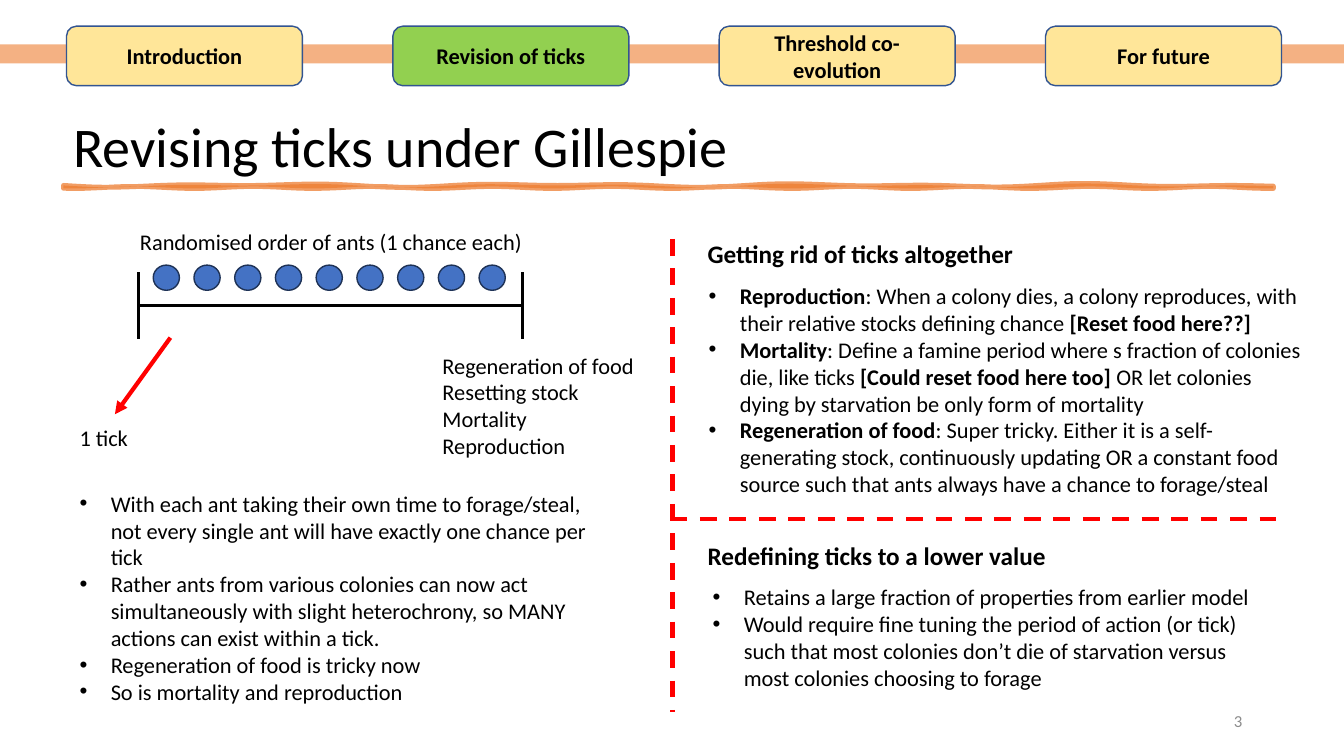
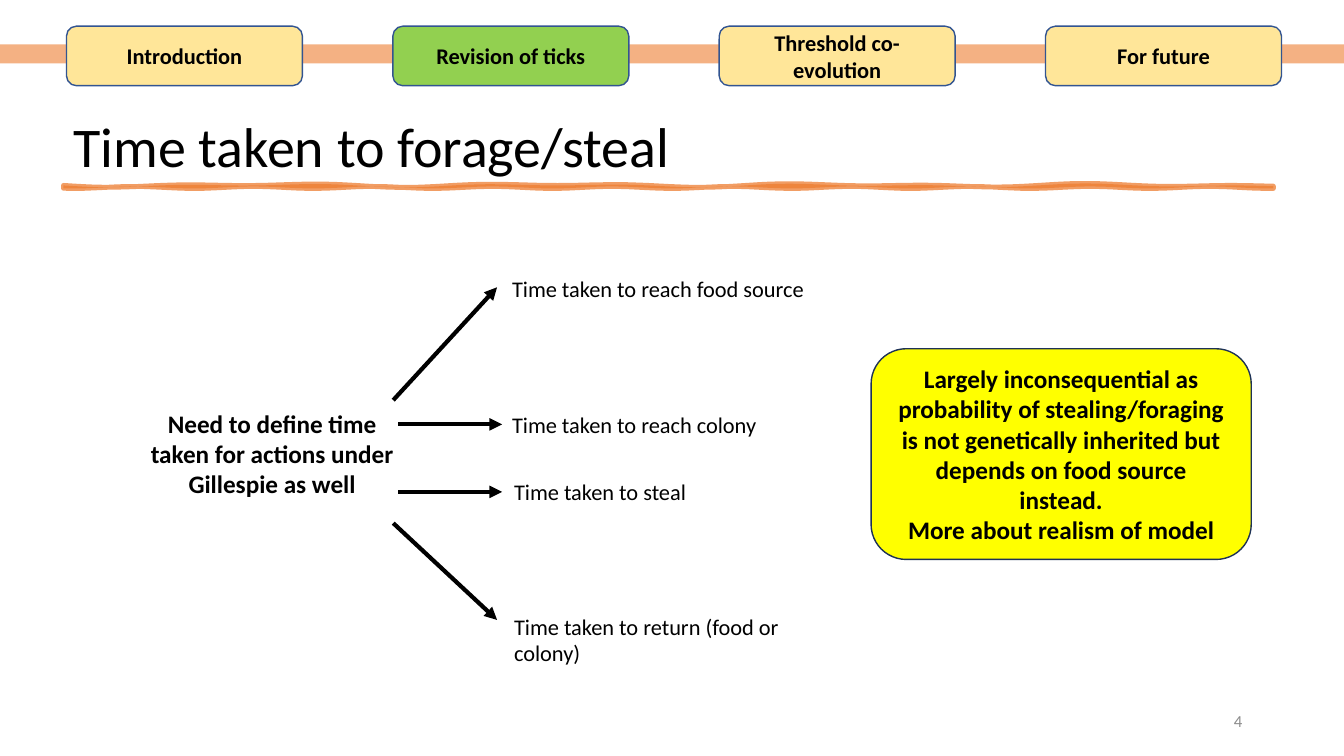
import math

import pptx
import pptx.dml.color
import pptx.enum.dml
import pptx.enum.shapes
import pptx.enum.text
import pptx.oxml.ns
import pptx.util
from lxml import etree

COLOURS = {
    "text": "000000", "page_number": "8C8C8C", "underline": "ED7D31", "band": "F4B183",
    "tab": "FFE699", "active_tab": "92D050", "tab_edge": "325491", "ant": "4472C4",
    "edge": "1E3256", "red": "FF0000", "note": "FFFF00",
}
FONT = "Calibri"
SECTIONS = ["Introduction", "Revision of ticks", "Threshold co-evolution", "For future"]
TICK_PROBLEMS = [
    "With each ant taking their own time to forage/steal, not every single ant will have "
    "exactly one chance per tick",
    "Rather ants from various colonies can now act simultaneously with slight heterochrony, "
    "so MANY actions can exist within a tick.",
    "Regeneration of food is tricky now",
    "So is mortality and reproduction",
]
NO_TICKS = [
    "**Reproduction**: When a colony dies, a colony reproduces, with their relative stocks "
    "defining chance **[Reset food here??]**",
    "**Mortality**: Define a famine period where s fraction of colonies die, like ticks "
    "**[Could reset food here too] **OR let colonies dying by starvation be only form of mortality",
    "**Regeneration of food**: Super tricky. Either it is a self-generating stock, continuously "
    "updating OR a constant food source such that ants always have a chance to forage/steal",
]
LOWER_TICKS = [
    "Retains a large fraction of properties from earlier model",
    "Would require fine tuning the period of action (or tick) such that most colonies don’t die "
    "of starvation versus most colonies choosing to forage",
]
ALIGN = pptx.enum.text.PP_ALIGN
ANCHOR = pptx.enum.text.MSO_ANCHOR
SHAPES = pptx.enum.shapes.MSO_SHAPE
Inches = pptx.util.Inches


def rgb(name):
    """Return the named colour."""
    return pptx.dml.color.RGBColor.from_string(COLOURS[name])


def add_child(parent, tag, **attributes):
    """Append a DrawingML element to a parent element."""
    return etree.SubElement(parent, pptx.oxml.ns.qn(tag), attributes)


def write(frame, lines, size=16, bold=False, colour="text", align=ALIGN.LEFT, bullets=False):
    """Fill a text frame with paragraphs; double asterisks switch bold."""
    for index, line in enumerate(lines):
        para = frame.add_paragraph() if index else frame.paragraphs[0]
        para.alignment = align
        if bullets:
            properties = para._p.get_or_add_pPr()
            indent = Inches(0.31)
            properties.set("marL", str(indent))
            properties.set("indent", str(-indent))
            add_child(properties, "a:buFont", typeface="Arial")
            add_child(properties, "a:buChar", char="•")
        for part, words in enumerate(line.split("**")):
            if words:
                span = para.add_run()
                span.text = words
                span.font.name = FONT
                span.font.size = pptx.util.Pt(size)
                span.font.bold = bold or part % 2 == 1
                span.font.color.rgb = rgb(colour)


def add_text(page, box, lines, wrap=True, anchor=ANCHOR.TOP, grow=True, **style):
    """Add a text box and return its frame."""
    frame = page.shapes.add_textbox(*map(Inches, box)).text_frame
    frame.word_wrap = wrap
    frame.vertical_anchor = anchor
    if grow:
        frame.auto_size = pptx.enum.text.MSO_AUTO_SIZE.SHAPE_TO_FIT_TEXT
    write(frame, lines, **style)
    return frame


def add_block(shapes, kind, box, fill, edge=None, lines=(), size=16):
    """Add a filled preset shape with centred bold text."""
    shape = shapes.add_shape(kind, *map(Inches, box))
    shape.shadow.inherit = False
    shape.fill.solid()
    shape.fill.fore_color.rgb = rgb(fill)
    if edge:
        shape.line.color.rgb = rgb(edge)
        shape.line.width = pptx.util.Pt(1)
    else:
        shape.line.fill.background()
    write(shape.text_frame, lines, size=size, bold=True, align=ALIGN.CENTER)


def add_line(page, start, end, colour="text", width=3.0, arrow=False, dashed=False):
    """Draw a straight line, with an arrowhead or dashes if asked."""
    line = page.shapes.add_connector(
        pptx.enum.shapes.MSO_CONNECTOR.STRAIGHT, *map(Inches, (*start, *end)))
    line.line.color.rgb = rgb(colour)
    line.line.width = pptx.util.Pt(width)
    if dashed:
        line.line.dash_style = pptx.enum.dml.MSO_LINE.DASH
    if arrow:
        add_child(line.line._get_or_add_ln(), "a:tailEnd", type="triangle")
    add_child(line._element.spPr, "a:effectLst")


def add_underline(page, left, top, width):
    """Draw the translucent hand-drawn stroke below the title."""
    steps = [width * step / 120 for step in range(121)]
    upper = [(x, 0.01 * math.sin(4.2 * x) + 0.01 * math.sin(2.3 * x)) for x in steps]
    lower = [(x, 0.02 + 0.01 * math.sin(5.3 * x + 1)) for x in reversed(steps)]
    points = [(Inches(left + x), Inches(top + y)) for x, y in upper + lower]
    builder = page.shapes.build_freeform(*points[0])
    builder.add_line_segments(points[1:], close=True)
    stroke = builder.convert_to_shape()
    stroke.shadow.inherit = False
    stroke.fill.solid()
    stroke.fill.fore_color.rgb = rgb("underline")
    stroke.line.color.rgb = rgb("underline")
    stroke.line.width = pptx.util.Pt(3.5)
    for colour in stroke._element.spPr.iter(pptx.oxml.ns.qn("a:srgbClr")):
        add_child(colour, "a:alpha", val="75000")


def add_navigation(page, box, active):
    """Draw the band and the section tabs, with the active one in green."""
    left, top, width, height = box
    tab_width = 2.34
    pitch = (width - tab_width) / (len(SECTIONS) - 1)
    shapes = page.shapes.add_group_shape().shapes
    add_block(shapes, SHAPES.RECTANGLE, (0, top + 0.18, 13.33, 0.19), "band")
    for index, section in enumerate(SECTIONS):
        fill = "active_tab" if section == active else "tab"
        add_block(shapes, SHAPES.ROUNDED_RECTANGLE,
                  (left + index * pitch, top, tab_width, height), fill, "tab_edge", [section])


def add_page(deck, title, number, fill_body):
    """Add a slide with title, underline, number, body and navigation."""
    page = deck.slides.add_slide(deck.slide_layouts[6])
    frame = add_text(page, (0.63, 0.26, 12.05, 1.57), [title], size=40,
                     anchor=ANCHOR.BOTTOM, grow=False)
    frame.paragraphs[0].line_spacing = 0.9
    add_underline(page, 0.63, 1.84, 12)
    add_text(page, (9.42, 6.95, 3, 0.4), [str(number)], size=12, colour="page_number",
             align=ALIGN.RIGHT, anchor=ANCHOR.MIDDLE, grow=False)
    fill_body(page)
    add_navigation(page, (0.66, 0.26, 12.05, 0.59), SECTIONS[1])


def add_tick_diagram(page, box):
    """Draw one tick as a bracket holding a row of ants."""
    left, top, width, height = box
    right, middle = left + width, top + height / 2
    add_line(page, (left, middle), (right, middle), width=2.25)
    for x in (left, right):
        add_line(page, (x, top), (x, top + height), width=2.25)
    for index in range(9):
        add_block(page.shapes, SHAPES.OVAL,
                  (left + 0.15 + index * 0.404, top - 0.07, 0.26, 0.25), "ant", "edge")
    add_text(page, (left - 0.08, top - 0.49, 4.04, 0.37),
             ["Randomised order of ants (1 chance each)"], wrap=False)
    add_text(page, (left + 2.92, top + 0.74, 2.13, 1.18),
             ["Regeneration of food", "Resetting stock", "Mortality", "Reproduction"], wrap=False)
    add_line(page, (left + 0.32, top + 0.65), (left - 0.23, top + 1.41), "red", arrow=True)
    add_text(page, (left - 0.68, top + 1.46, 0.69, 0.37), ["1 tick"], wrap=False)


def add_option(page, box, heading, points, inset):
    """Write a bold heading with bullet points below it."""
    left, top, width, height = box
    add_text(page, (left, top, width, 0.4), [heading], size=18, bold=True)
    add_text(page, (left + inset, top + 0.43, width, height - 0.43), points, bullets=True)


def fill_ticks(page):
    """Compose the tick diagram and the two options beside it."""
    add_tick_diagram(page, (1.37, 2.7, 3.81, 0.66))
    add_text(page, (0.69, 4.81, 5.41, 2.26), TICK_PROBLEMS, bullets=True)
    add_line(page, (6.67, 2.37), (6.67, 7.06), "red", dashed=True)
    add_line(page, (6.65, 5.15), (12.77, 5.15), "red", dashed=True)
    add_option(page, (6.92, 2.32, 6.12, 2.95), "Getting rid of ticks altogether", NO_TICKS, 0.01)
    add_option(page, (6.92, 5.31, 5.73, 1.61), "Redefining ticks to a lower value",
               LOWER_TICKS, 0.05)


def add_branches(page, box):
    """Draw the statement with arrows to the four times."""
    left, top, width, height = box
    add_text(page, box, ["Need to define time taken for actions under Gillespie as well"],
             size=18, bold=True, align=ALIGN.CENTER)
    branches = [
        ("Time taken to reach food source", 3.68, -1.32, 2.6, -0.03, -1.15),
        ("Time taken to reach colony", 3.68, 0.03, 2.65, 0.21, 0.21),
        ("Time taken to steal", 3.7, 0.69, 2.65, 0.88, 0.88),
        ("Time taken to return (food or colony)", 3.7, 2.03, 2.6, 1.19, 2.15),
    ]
    for label, label_x, label_y, arrow_x, start_y, end_y in branches:
        add_line(page, (left + arrow_x, top + start_y),
                 (left + arrow_x + 1.03, top + end_y), arrow=True)
        add_text(page, (left + label_x, top + label_y, 3.12, 0.37), [label])


def fill_times(page):
    """Compose the branching times and the yellow remark."""
    add_branches(page, (1.3, 4, 2.8, 1.01))
    remark = [
        "Largely inconsequential as probability of stealing/foraging is not genetically "
        "inherited but depends on food source instead.",
        "More about realism of model",
    ]
    add_block(page.shapes, SHAPES.ROUNDED_RECTANGLE, (8.64, 3.46, 3.77, 2.09),
              "note", "edge", remark, 18)


def main():
    """Build and save the deck."""
    deck = pptx.Presentation()
    deck.slide_width, deck.slide_height = Inches(13.33), Inches(7.5)
    add_page(deck, "Revising ticks under Gillespie", 3, fill_ticks)
    add_page(deck, "Time taken to forage/steal", 4, fill_times)
    deck.save("out.pptx")


if __name__ == "__main__":
    main()
